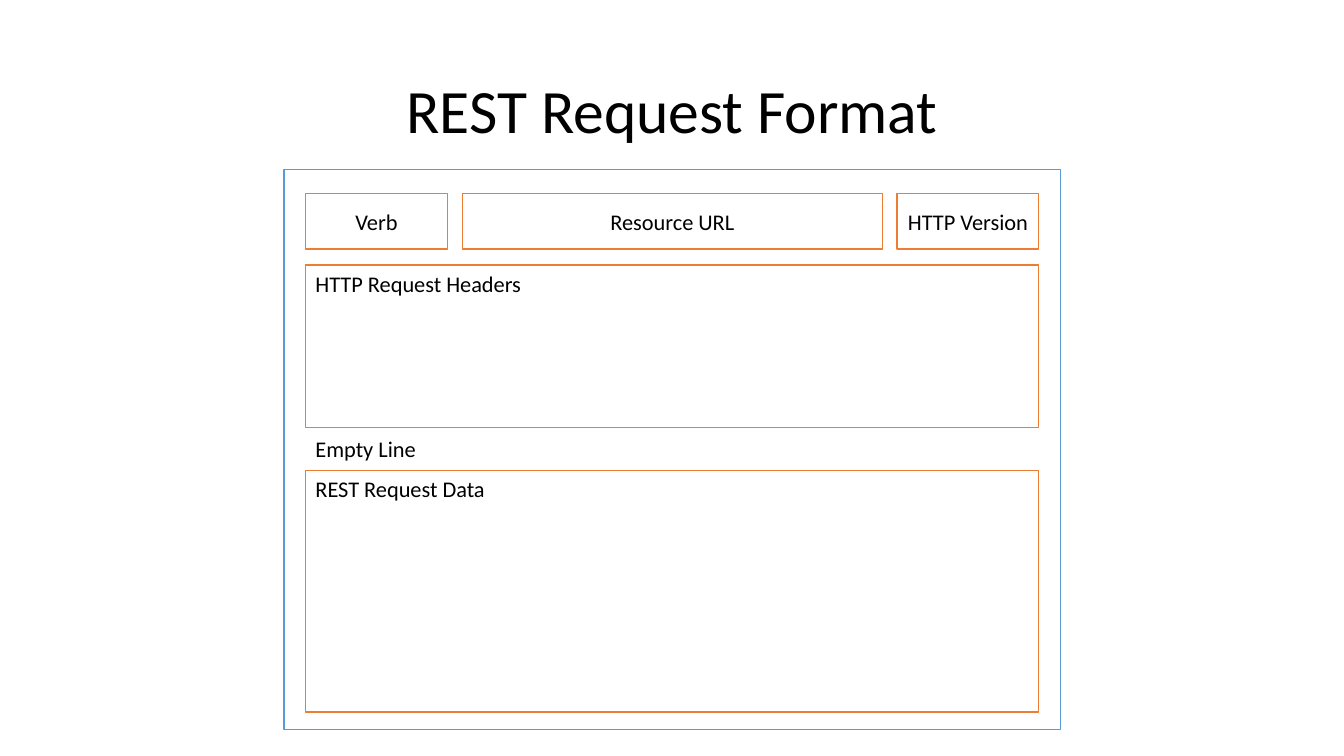
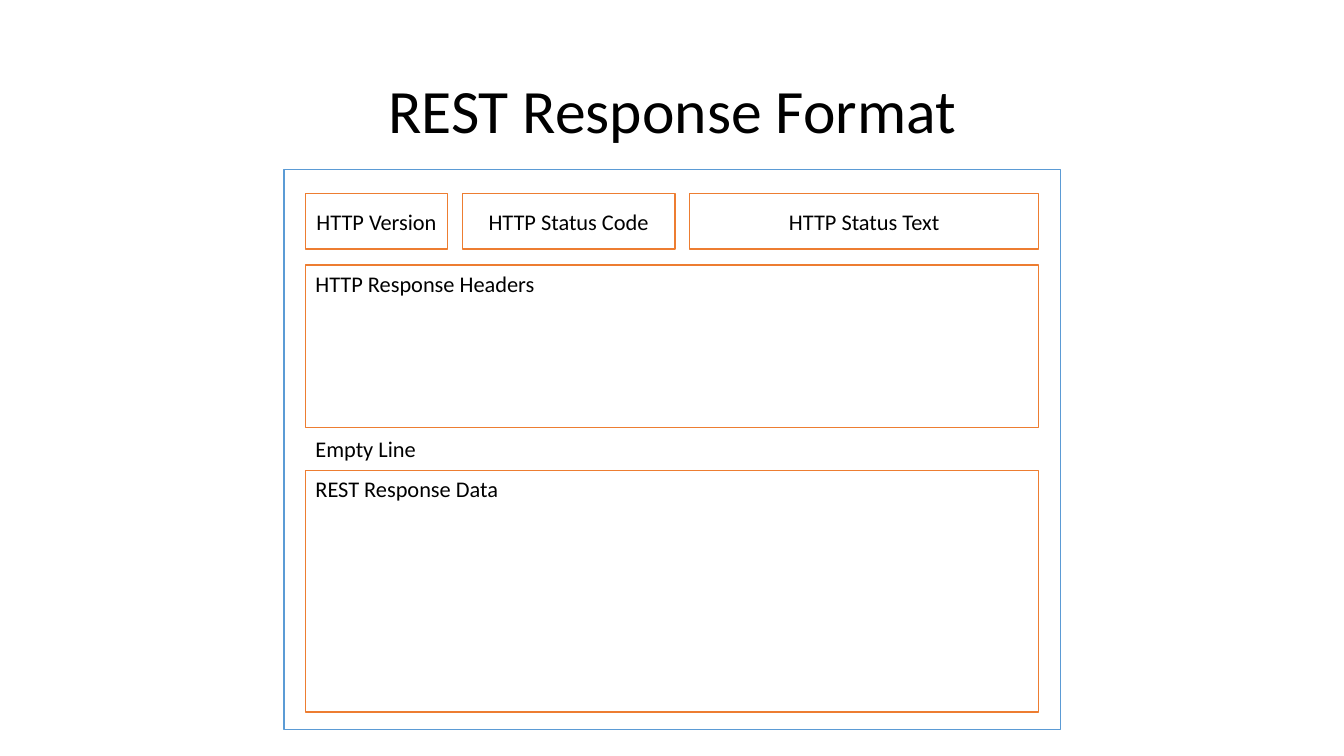
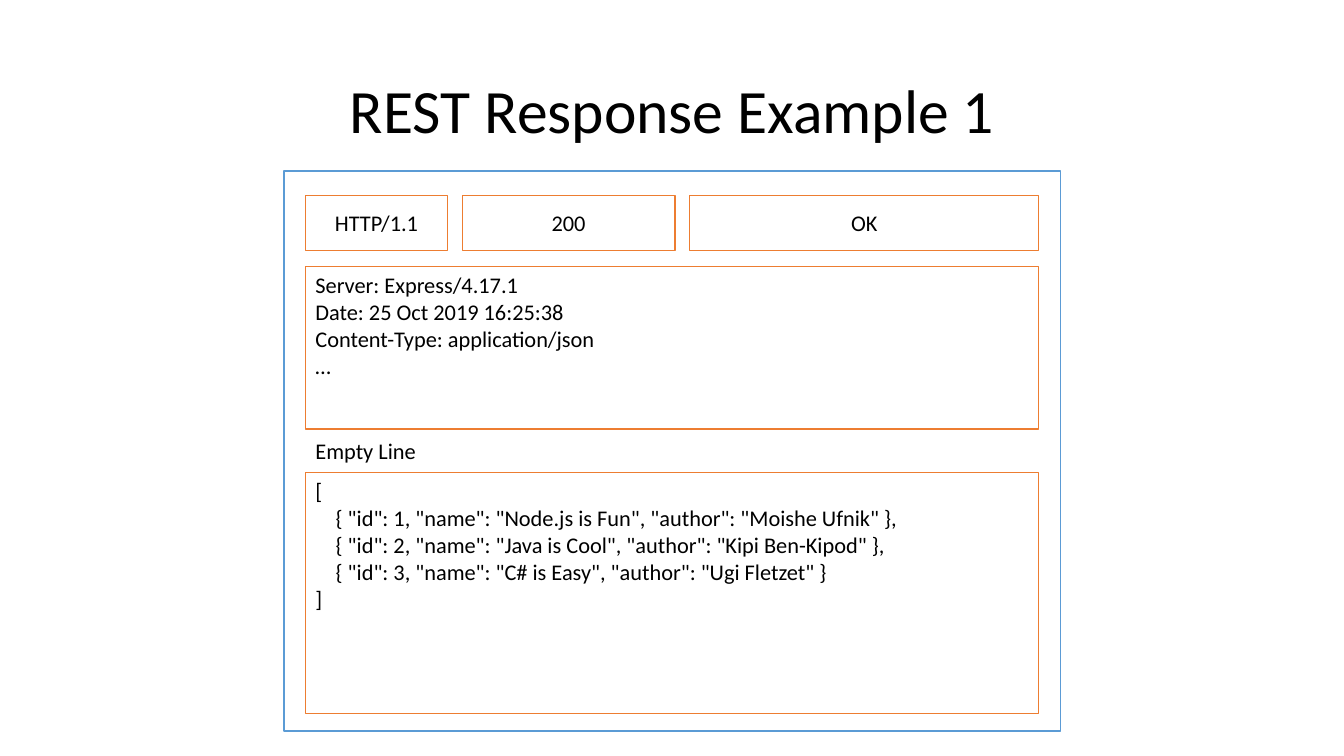
from pptx import Presentation
from pptx.dml.color import RGBColor
from pptx.enum import shapes, text
from pptx.util import Cm, Pt

# Shared style
BLACK = RGBColor(0x00, 0x00, 0x00)
WHITE = RGBColor(0xFF, 0xFF, 0xFF)
BLUE = RGBColor(0x5B, 0x9B, 0xD5)
ORANGE = RGBColor(0xED, 0x7D, 0x31)
FONT = "Calibri"

# Message geometry, in centimetres
FRAME_LEFT, FRAME_WIDTH, FRAME_HEIGHT = 7.16, 19.56, 14.11
LEFT, WIDTH, GAP = 7.7, 18.48, 0.37
FIRST_FIELD = 3.58
INDENT = 0.51


class Deck:
    def __init__(self):
        self.show = Presentation()
        self.show.slide_width = Cm(33.87)
        self.show.slide_height = Cm(19.05)
        self.layout = self.show.slide_layouts.get_by_name("Title Only")
        self.place(self.layout.placeholders[0], 2.34, 1.02, 29.21, 3.68)
        self.page = None

    def place(self, shape, left, top, width, height):
        shape.left, shape.top = Cm(left), Cm(top)
        shape.width, shape.height = Cm(width), Cm(height)

    def add_words(self, para, words, size, align):
        para.alignment = align
        span = para.add_run()
        span.text = words
        span.font.name = FONT
        span.font.size = Pt(size)
        span.font.color.rgb = BLACK

    def new_page(self, title):
        self.page = self.show.slides.add_slide(self.layout)
        frame = self.page.shapes.title.text_frame
        frame.vertical_anchor = text.MSO_ANCHOR.MIDDLE
        para = frame.paragraphs[0]
        para.line_spacing = 0.9
        self.add_words(para, title, 44, text.PP_ALIGN.CENTER)

    def box(self, left, top, width, height, color):
        box = self.page.shapes.add_shape(
            shapes.MSO_SHAPE.RECTANGLE,
            Cm(left), Cm(top), Cm(width), Cm(height))
        box.shadow.inherit = False
        box.fill.solid()
        box.fill.fore_color.rgb = WHITE
        box.line.color.rgb = color
        box.line.width = Pt(1)
        return box

    def field(self, left, top, width, words):
        """A one-line box with centred text."""
        frame = self.box(left, top, width, 1.4, ORANGE).text_frame
        frame.vertical_anchor = text.MSO_ANCHOR.MIDDLE
        self.add_words(frame.paragraphs[0], words, 16, text.PP_ALIGN.CENTER)

    def block(self, top, height, lines):
        """A full-width box with lines of (indent level, words)."""
        frame = self.box(LEFT, top, WIDTH, height, ORANGE).text_frame
        frame.vertical_anchor = text.MSO_ANCHOR.TOP
        for number, (level, words) in enumerate(lines):
            para = frame.add_paragraph() if number else frame.paragraphs[0]
            self.add_words(para, words, 16, text.PP_ALIGN.LEFT)
            if level:
                para._p.get_or_add_pPr().set("marL", str(Cm(level * INDENT)))

    def label(self, top, words):
        label = self.page.shapes.add_textbox(
            Cm(LEFT), Cm(top), Cm(5.18), Cm(0.94))
        frame = label.text_frame
        frame.word_wrap = True
        frame.auto_size = text.MSO_AUTO_SIZE.SHAPE_TO_FIT_TEXT
        self.add_words(frame.paragraphs[0], words, 16, text.PP_ALIGN.LEFT)

    def message(self, title, fields, second_field, headers, data, top=4.27):
        """A page with one HTTP message: start line, headers and data."""
        self.new_page(title)
        self.box(FRAME_LEFT, top, FRAME_WIDTH, FRAME_HEIGHT, BLUE)
        last_field = WIDTH - FIRST_FIELD - second_field - 2 * GAP
        left = LEFT
        for words, width in zip(fields, (FIRST_FIELD, second_field, last_field)):
            self.field(left, top + 0.61, width, words)
            left += width + GAP
        self.block(top + 2.41, 4.09, headers)
        self.label(top + 6.58, "Empty Line")
        self.block(top + 7.59, 6.08, data)


deck = Deck()

# Request format
deck.message(
    "REST Request Format",
    ("Verb", "Resource URL", "HTTP Version"), 10.59,
    [(0, "HTTP Request Headers")],
    [(0, "REST Request Data")])

# Response format
deck.message(
    "REST Response Format",
    ("HTTP Version", "HTTP Status Code", "HTTP Status Text"), 5.36,
    [(0, "HTTP Response Headers")],
    [(0, "REST Response Data")])

# Response example
deck.message(
    "REST Response Example 1",
    ("HTTP/1.1", "200", "OK"), 5.36,
    [(0, "Server: Express/4.17.1"),
     (0, "Date: 25 Oct 2019 16:25:38"),
     (0, "Content-Type: application/json"),
     (0, "…")],
    [(0, "["),
     (1, '{ "id": 1, "name": "Node.js is Fun", "author": "Moishe Ufnik" },'),
     (1, '{ "id": 2, "name": "Java is Cool", "author": "Kipi Ben-Kipod" },'),
     (1, '{ "id": 3, "name": "C# is Easy", "author": "Ugi Fletzet" }'),
     (0, "]")],
    top=4.31)

deck.show.save("out.pptx")
